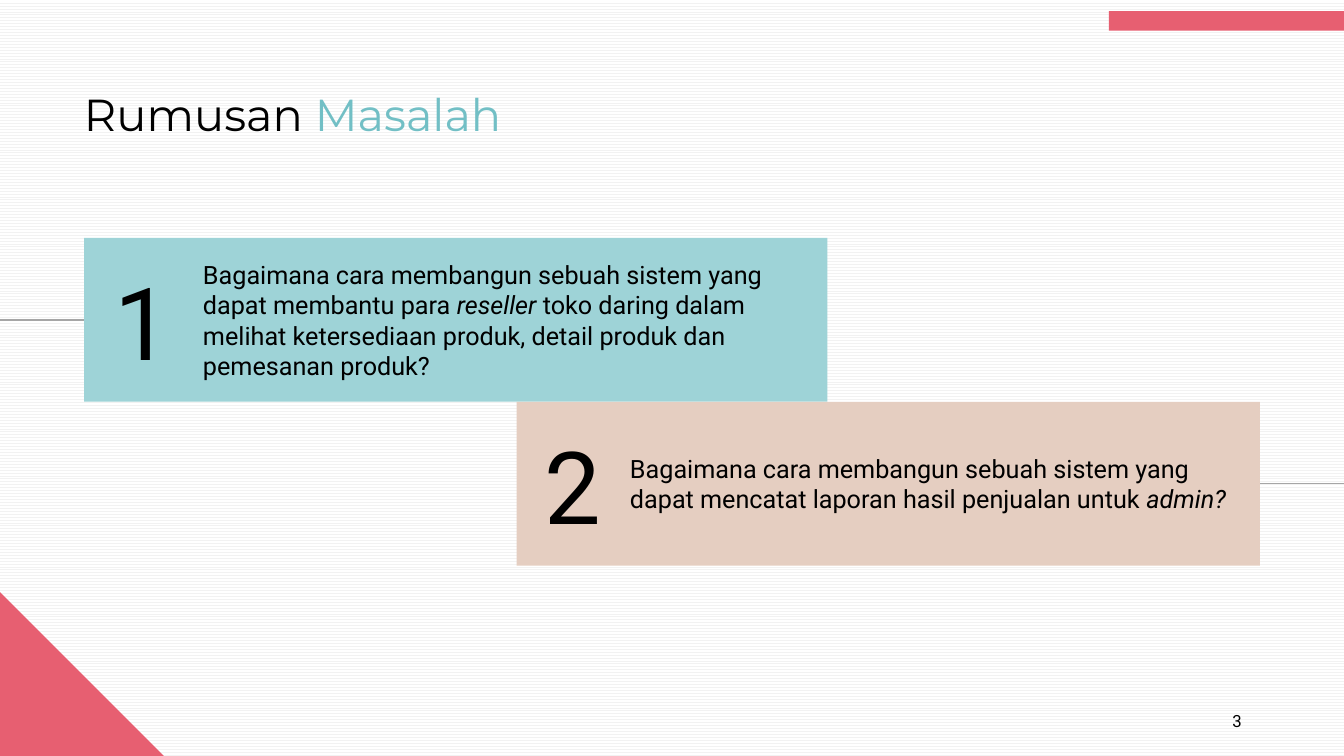
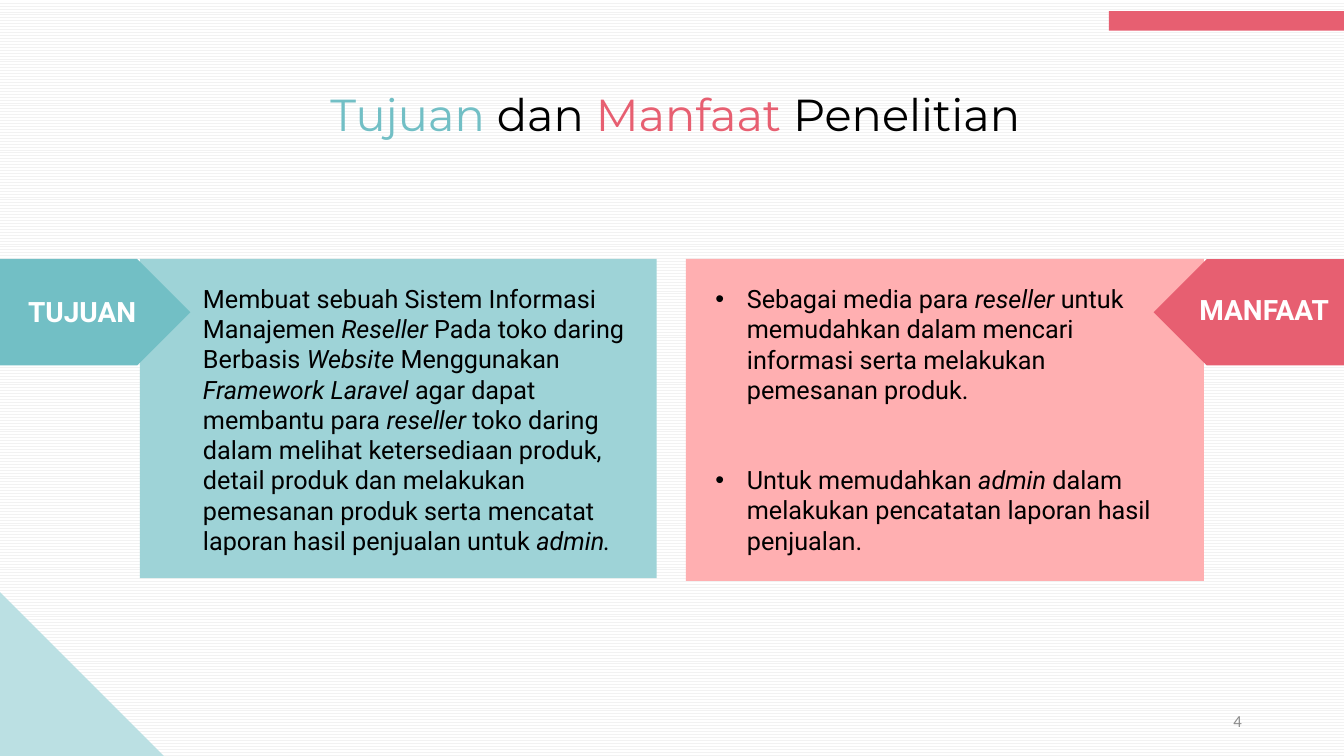
from dataclasses import dataclass

from lxml.etree import SubElement
from pptx import Presentation
from pptx.dml.color import RGBColor
from pptx.enum.dml import MSO_PATTERN
from pptx.enum.shapes import MSO_CONNECTOR, MSO_SHAPE
from pptx.enum.text import MSO_ANCHOR as Anchor, PP_ALIGN as Align
from pptx.oxml.ns import qn
from pptx.util import Pt


@dataclass(frozen=True)
class Theme:
    ink: str = "000000"
    white: str = "FFFFFF"
    stripe: str = "F2F2F2"
    rule: str = "A6A6A6"
    muted: str = "8C8C8C"
    teal: str = "72BFC5"
    teal_soft: str = "9ED3D7"
    teal_pale: str = "BBE0E3"
    coral: str = "E75F71"
    coral_soft: str = "FFAFB1"
    sand: str = "E5CEC1"
    heading_font: str = "Montserrat"
    body_font: str = "Roboto"
    number_font: str = "Calibri"
    title: int = 32
    body: int = 18
    label: int = 20
    numeral: int = 72
    small: int = 12


THEME = Theme()
WIDTH, HEIGHT = 960, 540
ITALIC = {"italic": True}
TEAL, CORAL = {"color": THEME.teal}, {"color": THEME.coral}

# A paragraph is a list of runs: plain text, or (text, format).
PROBLEMS = {
    "title": ["Rumusan ", ("Masalah", TEAL)],
    "cards": [
        {"left": 60, "fill": THEME.teal_soft, "number_left": 72, "text_left": 145,
         "text_width": 433, "rule": (0, 60),
         "text": ["Bagaimana cara membangun sebuah sistem yang dapat membantu para ",
                  ("reseller", ITALIC),
                  " toko daring dalam melihat ketersediaan produk, detail produk dan "
                  "pemesanan produk?"]},
        {"left": 369, "fill": THEME.sand, "number_left": 379, "text_left": 450,
         "text_width": 444, "rule": (900, WIDTH),
         "text": ["Bagaimana cara membangun sebuah sistem yang dapat mencatat laporan "
                  "hasil penjualan untuk ", ("admin?", ITALIC)]},
    ],
}
GOALS = {
    "title": [("Tujuan ", TEAL), "dan ", ("Manfaat ", CORAL), "Penelitian"],
    "panels": [
        {"label": "TUJUAN", "panel": (100, 185, 369, 228), "fill": THEME.teal_soft,
         "tag_left": 0, "tag_fill": THEME.teal, "turn": 0,
         "label_at": (20, 210, 82, 24), "label_align": Align.LEFT,
         "text_left": 145, "bullet": False,
         "text": [["Membuat sebuah Sistem Informasi Manajemen ", ("Reseller ", ITALIC),
                   "Pada toko daring Berbasis ", ("Website", ITALIC), " Menggunakan ",
                   ("Framework Laravel", ITALIC), " agar dapat membantu para ",
                   ("reseller ", ITALIC),
                   "toko daring dalam melihat ketersediaan produk, detail produk dan "
                   "melakukan pemesanan produk serta mencatat laporan hasil penjualan "
                   "untuk ", ("admin.", ITALIC)]]},
        {"label": "MANFAAT", "panel": (490, 185, 370, 230), "fill": THEME.coral_soft,
         "tag_left": 824, "tag_fill": THEME.coral, "turn": 180,
         "label_at": (846, 209, 114, 24), "label_align": Align.CENTER,
         "text_left": 511, "bullet": True,
         "text": [["Sebagai media para ", ("reseller", ITALIC),
                   " untuk memudahkan dalam mencari informasi serta melakukan "
                   "pemesanan produk."],
                  ["Untuk memudahkan ", ("admin", ITALIC),
                   " dalam melakukan pencatatan laporan hasil penjualan."]]},
    ],
}


def rgb(color):
    return RGBColor.from_string(color)


def add_block(page, kind, at, fill, turn=0):
    shape = page.shapes.add_shape(kind, *map(Pt, at))
    shape.shadow.inherit = False
    shape.fill.solid()
    shape.fill.fore_color.rgb = rgb(fill)
    shape.line.fill.background()
    shape.rotation = turn


def add_rule(page, start, end, y):
    line = page.shapes.add_connector(MSO_CONNECTOR.STRAIGHT, Pt(start), Pt(y), Pt(end), Pt(y))
    line.line.color.rgb = rgb(THEME.rule)
    line.line.width = Pt(1)
    SubElement(line._element.spPr, qn("a:effectLst"))


def add_bullet(para, indent=22.5):
    properties = para._p.get_or_add_pPr()
    properties.set("marL", str(Pt(indent)))
    properties.set("indent", str(-Pt(indent)))
    SubElement(properties, qn("a:buFont"), typeface="Arial")
    SubElement(properties, qn("a:buChar"), char="•")


def add_text(page, at, paragraphs, *, size=THEME.body, font=THEME.body_font,
             color=THEME.ink, bold=False, align=Align.LEFT, anchor=Anchor.MIDDLE,
             bullet=False, gap=0):
    frame = page.shapes.add_textbox(*map(Pt, at)).text_frame
    frame.word_wrap = True
    frame.vertical_anchor = anchor
    frame.margin_left = frame.margin_right = frame.margin_top = frame.margin_bottom = 0
    for index, runs in enumerate(paragraphs):
        para = frame.add_paragraph() if index else frame.paragraphs[0]
        para.alignment = align
        if index:
            para.space_before = Pt(gap)
        if bullet:
            add_bullet(para)
        for run in runs:
            text, style = (run, {}) if isinstance(run, str) else run
            span = para.add_run()
            span.text = text
            span.font.name = font
            span.font.size = Pt(size)
            span.font.bold = bold
            span.font.italic = style.get("italic", False)
            span.font.color.rgb = rgb(style.get("color", color))


def add_page(deck, title, number, *, corner, align=Align.LEFT, **number_style):
    """Add a slide with the shared background, corner, bar, title and page number."""
    page = deck.slides.add_slide(deck.slide_layouts[6])
    fill = page.background.fill
    fill.patterned()
    fill.pattern = MSO_PATTERN.ZIG_ZAG
    fill.fore_color.rgb = rgb(THEME.stripe)
    fill.back_color.rgb = rgb(THEME.white)
    add_block(page, MSO_SHAPE.RIGHT_TRIANGLE, (0, HEIGHT - 117, 117, 117), corner)
    add_block(page, MSO_SHAPE.RECTANGLE, (792, 8, 168, 14), THEME.coral)
    add_text(page, (60, 62, 845, 39), [title], size=THEME.title,
             font=THEME.heading_font, align=align, anchor=Anchor.TOP)
    add_text(page, (678, 500, 209, 29), [[str(number)]], size=THEME.small,
             align=Align.RIGHT, **number_style)
    return page


def build_problems(deck):
    page = add_page(deck, PROBLEMS["title"], 3, corner=THEME.coral)
    top, height, text_height = 170, 117, 87
    for index, card in enumerate(PROBLEMS["cards"]):
        card_top = top + index * height
        middle = card_top + height / 2
        text_top = middle - text_height / 2
        add_rule(page, *card["rule"], middle)
        add_block(page, MSO_SHAPE.RECTANGLE, (card["left"], card_top, 531, height), card["fill"])
        add_text(page, (card["number_left"], text_top, 60, text_height), [[str(index + 1)]],
                 size=THEME.numeral, align=Align.CENTER)
        add_text(page, (card["text_left"], text_top, card["text_width"], text_height),
                 [card["text"]])


def build_goals(deck):
    page = add_page(deck, GOALS["title"], 4, corner=THEME.teal_pale, align=Align.CENTER,
                    font=THEME.number_font, color=THEME.muted)
    for panel in GOALS["panels"]:
        add_block(page, MSO_SHAPE.RECTANGLE, panel["panel"], panel["fill"])
        add_block(page, MSO_SHAPE.PENTAGON, (panel["tag_left"], 185, 136, 76),
                  panel["tag_fill"], panel["turn"])
        add_text(page, panel["label_at"], [[panel["label"]]], size=THEME.label,
                 color=THEME.white, bold=True, align=panel["label_align"],
                 anchor=Anchor.BOTTOM)
        add_text(page, (panel["text_left"], 201, 315, 197), panel["text"],
                 bullet=panel["bullet"], gap=43)


def main():
    deck = Presentation()
    deck.slide_width, deck.slide_height = Pt(WIDTH), Pt(HEIGHT)
    build_problems(deck)
    build_goals(deck)
    deck.save("out.pptx")


if __name__ == "__main__":
    main()
